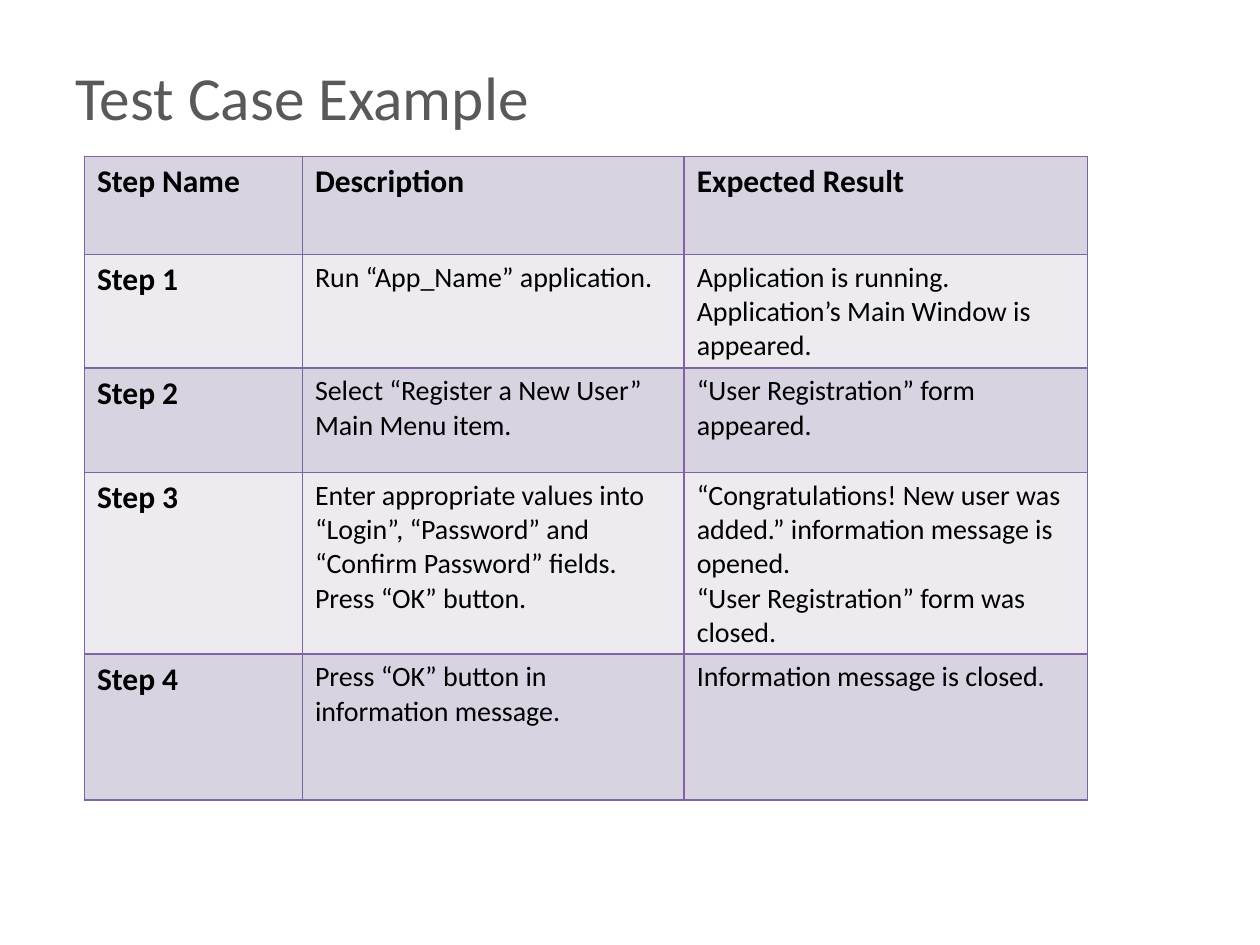
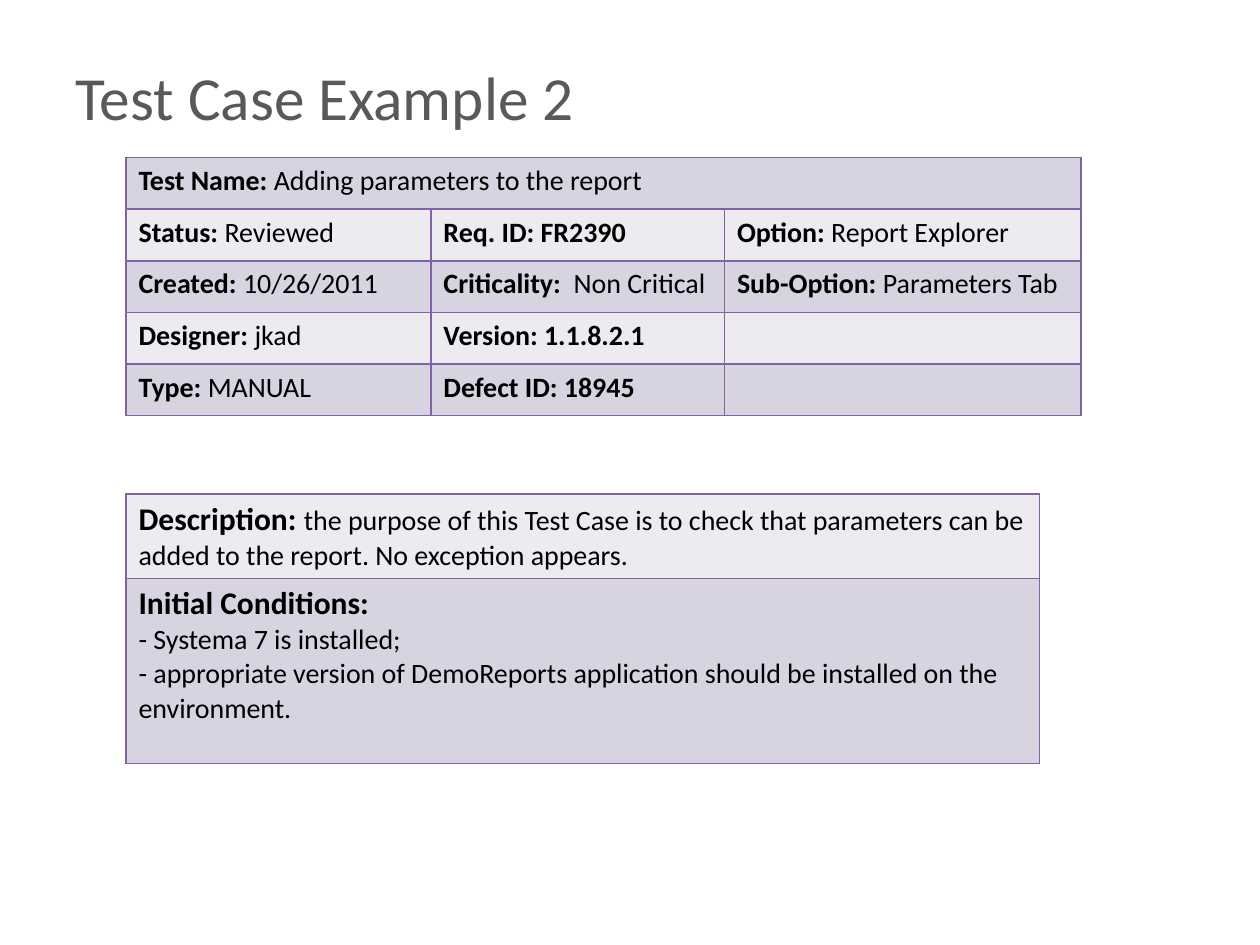
from lxml.etree import SubElement
from pptx import Presentation
from pptx.dml.color import RGBColor
from pptx.enum.text import MSO_ANCHOR, MSO_AUTO_SIZE, PP_ALIGN
from pptx.oxml.ns import qn
from pptx.util import Inches, Pt

COLORS = {"title": "595959", "text": "000000", "border": "8064A2", "dark": "D8D3E0", "light": "EDEAF0"}
FONT = "Calibri"
TITLE_FORMAT = {
    "word_wrap": False,
    "auto_size": MSO_AUTO_SIZE.SHAPE_TO_FIT_TEXT,
    "vertical_anchor": MSO_ANCHOR.TOP,
}
BODY_SIZE = 16


def add_run(paragraph, text, size, color, bold=False):
    run = paragraph.add_run()
    run.text = text
    for name, value in {"name": FONT, "size": Pt(size), "bold": bold}.items():
        setattr(run.font, name, value)
    run.font.color.rgb = RGBColor.from_string(COLORS[color])


def add_grid(slide, left, top, widths, heights, rows, label_size, bands):
    frame = slide.shapes.add_table(
        len(rows), len(widths), Inches(left), Inches(top), Inches(sum(widths)), Inches(sum(heights))
    )
    table = frame.table
    table.first_row = table.horz_banding = False
    for column, width in zip(table.columns, widths):
        column.width = Inches(width)
    for row_index, (row, height, texts) in enumerate(zip(table.rows, heights, rows)):
        row.height = Inches(height)
        for cell, text in zip(row.cells, texts):
            properties = cell._tc.get_or_add_tcPr()
            for side in ("lnL", "lnR", "lnT", "lnB"):
                line = SubElement(properties, qn(f"a:{side}"), w=str(Pt(1)))
                SubElement(SubElement(line, qn("a:solidFill")), qn("a:srgbClr"), val=COLORS["border"])
            cell.fill.solid()
            cell.fill.fore_color.rgb = RGBColor.from_string(COLORS[bands[row_index % 2]])
            for index, content in enumerate(text.split("\n")):
                text_frame = cell.text_frame
                paragraph = text_frame.add_paragraph() if index else text_frame.paragraphs[0]
                label, separator, value = content.rpartition("|")
                if label:
                    add_run(paragraph, label, label_size, "text", True)
                if value:
                    add_run(paragraph, value, BODY_SIZE, "text")
    return table


presentation = Presentation()
presentation.slide_width = Inches(10)
presentation.slide_height = Inches(7.5)

slides = []
for title_text, title_width in (("Test Case Example", 3.83), ("Test Case Example 2", 4.19)):
    slide = presentation.slides.add_slide(presentation.slide_layouts[5])
    title = slide.shapes.title
    box = {"left": 0.5, "top": 0.42, "width": title_width, "height": 0.69}
    for name, value in box.items():
        setattr(title, name, Inches(value))
    for name, value in TITLE_FORMAT.items():
        setattr(title.text_frame, name, value)
    paragraph = title.text_frame.paragraphs[0]
    paragraph.alignment = PP_ALIGN.LEFT
    add_run(paragraph, title_text, 35, "title")
    slides.append(slide)

steps_slide, report_slide = slides

steps = [
    ("Step Name|", "Description|", "Expected Result|"),
    (
        "Step 1|",
        "Run “App_Name” application.",
        "Application is running. Application’s Main Window is appeared.",
    ),
    (
        "Step 2|",
        "Select “Register a New User” Main Menu item.",
        "“User Registration” form appeared.",
    ),
    (
        "Step 3|",
        "Enter appropriate values into “Login”, “Password” and “Confirm Password” fields. Press “OK” button.",
        "“Congratulations! New user was added.” information message is opened.\n"
        "“User Registration” form was closed.",
    ),
    ("Step 4|", "Press “OK” button in information message.", "Information message is closed."),
]
add_grid(
    steps_slide, 0.67, 1.24, [1.73, 3.03, 3.2], [0.78, 0.9, 0.83, 1.44, 1.16], steps, 18, ("dark", "light")
)

attributes = [
    ("Test Name: |Adding parameters to the report", "", ""),
    ("Status: |Reviewed", "Req. ID: FR2390|", "Option: |Report Explorer"),
    ("Created: |10/26/2011", "Criticality:  |Non Critical", "Sub-Option: |Parameters Tab"),
    ("Designer: |jkad", "Version: 1.1.8.2.1|", ""),
    ("Type: |MANUAL", "Defect ID: 18945|", ""),
]
attribute_table = add_grid(
    report_slide, 1, 1.25, [2.42, 2.33, 2.83], [0.41] * len(attributes), attributes, 16, ("dark", "light")
)
attribute_table.cell(0, 0).merge(attribute_table.cell(0, 2))

conditions = [
    (
        "Description: |the purpose of this Test Case is to check that parameters can be added "
        "to the report. No exception appears.",
    ),
    (
        "Initial Conditions:|\n- Systema 7 is installed;\n"
        "- appropriate version of DemoReports application should be installed on the environment.",
    ),
]
add_grid(report_slide, 1, 3.92, [7.25], [0.67, 1.47], conditions, 18, ("light", "dark"))

presentation.save("out.pptx")
